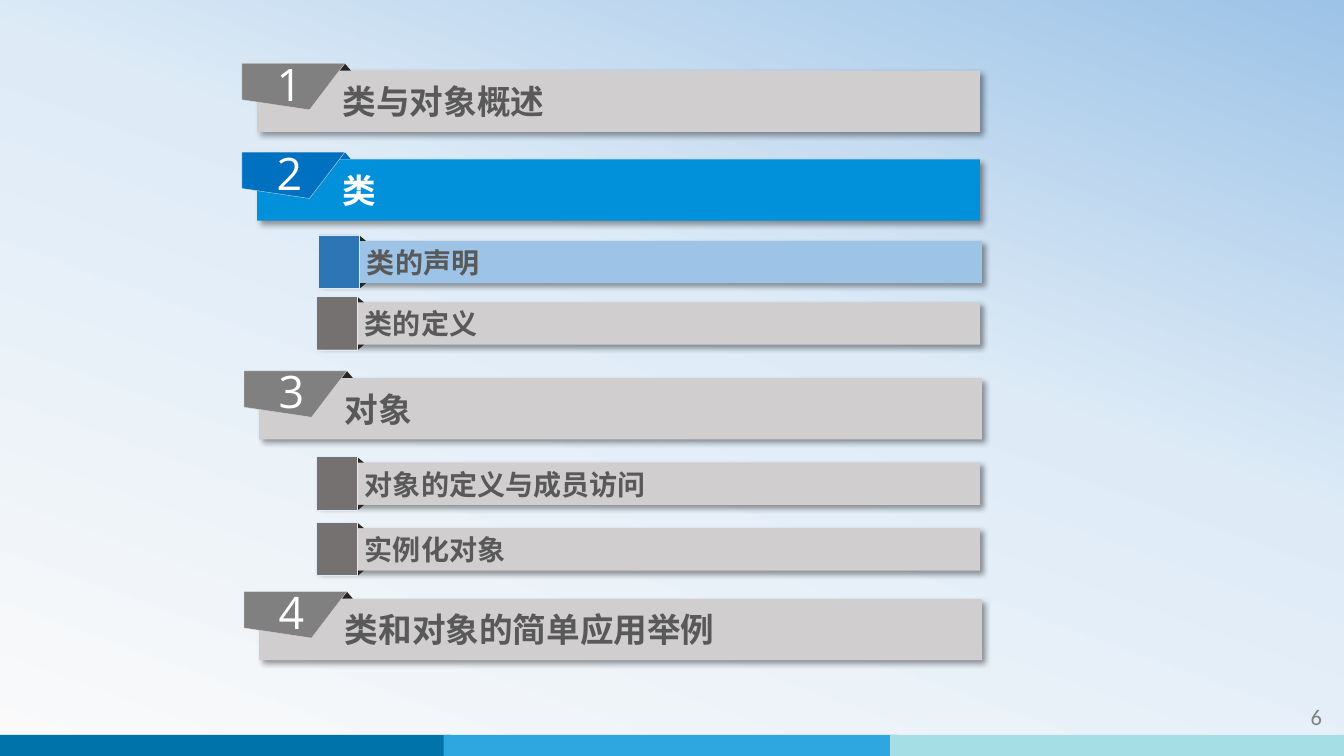
import pptx
import pptx.util
import pptx.dml.color
import pptx.enum.shapes
import pptx.enum.text
import pptx.oxml
import pptx.oxml.ns

Inches, Pt = pptx.util.Inches, pptx.util.Pt
RGBColor = pptx.dml.color.RGBColor
MSO_SHAPE = pptx.enum.shapes.MSO_SHAPE
PP_ALIGN = pptx.enum.text.PP_ALIGN
MSO_ANCHOR = pptx.enum.text.MSO_ANCHOR
qn = pptx.oxml.ns.qn

WHITE = RGBColor(0xFF, 0xFF, 0xFF)
BLACK = RGBColor(0x26, 0x26, 0x26)
TEXT_GRAY = RGBColor(0x59, 0x59, 0x59)
TAB_GRAY = RGBColor(0x80, 0x80, 0x80)
BLOCK_GRAY = RGBColor(0x76, 0x71, 0x71)
BAR_GRAY = RGBColor(0xD0, 0xCE, 0xCE)
LINE_GRAY = RGBColor(0xD9, 0xD9, 0xD9)
BRIGHT_BLUE = RGBColor(0x00, 0x91, 0xDA)
TAB_BLUE = RGBColor(0x00, 0x70, 0xC0)
BLOCK_BLUE = RGBColor(0x2E, 0x75, 0xB6)
SKY_BLUE = RGBColor(0x9D, 0xC3, 0xE6)
PALE_BLUE = RGBColor(0xDE, 0xEB, 0xF7)
NEAR_WHITE = RGBColor(0xFA, 0xFA, 0xFA)

BACKGROUND = [(0, NEAR_WHITE), (0.58, PALE_BLUE), (1, SKY_BLUE)]
STRIPES = [(-0.03, RGBColor(0x00, 0x73, 0xAB)),
           (4.4, RGBColor(0x2E, 0xA7, 0xE0)),
           (8.83, RGBColor(0xA5, 0xDE, 0xE4))]
PAGE = "6"
# number, heading, left, top, current
SECTIONS = [("1", "类与对象概述", 2.4, 0.63, False),
            ("2", "类", 2.4, 1.51, True),
            ("3", "对象", 2.42, 3.68, False),
            ("4", "类和对象的简单应用举例", 2.42, 5.87, False)]
# heading, left, top, current
TOPICS = [("类的声明", 3.16, 2.33, True),
          ("类的定义", 3.14, 2.94, False),
          ("对象的定义与成员访问", 3.14, 4.53, False),
          ("实例化对象", 3.14, 5.18, False)]
CJK_FONT = "Noto Sans CJK SC"


def paint(sp, fill, line=None):
    sp.shadow.inherit = False
    sp.fill.solid()
    sp.fill.fore_color.rgb = fill
    if line is None:
        sp.line.fill.background()
    else:
        sp.line.color.rgb = line
        sp.line.width = Pt(0.25)


def add_block(shapes, kind, left, top, width, height, fill, line=None):
    sp = shapes.add_shape(kind, Inches(left), Inches(top), Inches(width), Inches(height))
    paint(sp, fill, line)
    return sp


def write(sp, text, size, font, color, align, bold=False):
    tf = sp.text_frame
    tf.word_wrap = True
    tf.vertical_anchor = MSO_ANCHOR.MIDDLE
    p = tf.paragraphs[0]
    p.text = text
    p.alignment = align
    r = p.runs[0]
    r.font.size = Pt(size)
    r.font.bold = bold
    r.font.name = font
    r.font.color.rgb = color
    latin = r.font._element.find(qn("a:latin"))
    ea = latin.makeelement(qn("a:ea"), {"typeface": font})
    latin.addnext(ea)
    return tf


def add_bar(shapes, left, top, width, height, fill, text, size, color, indent):
    """Draw a heading bar with a soft shadow to the lower right."""
    sp = add_block(shapes, MSO_SHAPE.RECTANGLE, left, top, width, height, fill)
    sp._element.spPr.find(qn("a:effectLst")).append(pptx.oxml.parse_xml(
        '<a:outerShdw xmlns:a="http://schemas.openxmlformats.org/drawingml/2006/main"'
        ' blurRad="50800" dist="38100" dir="2700000" algn="tl" rotWithShape="0">'
        '<a:srgbClr val="000000"><a:alpha val="40000"/></a:srgbClr></a:outerShdw>'))
    tf = write(sp, text, size, CJK_FONT, color, PP_ALIGN.LEFT, bold=True)
    tf.margin_left = Inches(indent)


def add_section(slide, number, heading, left, top, current):
    shapes = slide.shapes.add_group_shape().shapes
    add_bar(shapes, left + 0.15, top + 0.07, 7.17, 0.61,
            BRIGHT_BLUE if current else BAR_GRAY,
            heading, 24, WHITE if current else TEXT_GRAY, 0.85)
    add_block(shapes, MSO_SHAPE.ISOSCELES_TRIANGLE, left + 0.96, top, 0.12, 0.07,
              TAB_BLUE if current else BLACK)
    outline = [(Inches(left + dx), Inches(top + dy))
               for dx, dy in [(0, 0), (1.02, 0), (0.67, 0.46), (0, 0.36)]]
    builder = shapes.build_freeform(*outline[0])
    builder.add_line_segments(outline[1:], close=True)
    tab = builder.convert_to_shape()
    paint(tab, TAB_BLUE if current else TAB_GRAY, LINE_GRAY)
    tf = write(tab, number, 32, "Open Sans", WHITE, PP_ALIGN.CENTER)
    tf.margin_left, tf.margin_top = Inches(0.09), Inches(0.04)
    tf.margin_right, tf.margin_bottom = Inches(0.17), Inches(0.1)


def add_topic(slide, heading, left, top, current):
    shapes = slide.shapes.add_group_shape().shapes
    add_bar(shapes, left + 0.01, top + 0.06, 6.57, 0.42,
            SKY_BLUE if current else BAR_GRAY, heading, 20, TEXT_GRAY, 0.47)
    add_block(shapes, MSO_SHAPE.ISOSCELES_TRIANGLE, left + 0.35, top + 0.01, 0.12, 0.05, BLACK)
    lower = add_block(shapes, MSO_SHAPE.ISOSCELES_TRIANGLE,
                      left + 0.35, top + 0.48, 0.12, 0.05, BLACK)
    lower.rotation = 180
    add_block(shapes, MSO_SHAPE.RECTANGLE, left, top, 0.4, 0.53,
              BLOCK_BLUE if current else BLOCK_GRAY, PALE_BLUE)


def set_background(slide):
    fill = slide.background.fill
    fill.gradient()
    fill.gradient_angle = 70
    stops = slide.element.find(".//" + qn("a:gsLst"))
    for gs in list(stops):
        stops.remove(gs)
    for position, color in BACKGROUND:
        gs = stops.makeelement(qn("a:gs"), {"pos": str(round(position * 100000))})
        gs.append(gs.makeelement(qn("a:srgbClr"), {"val": str(color)}))
        stops.append(gs)


def main():
    prs = pptx.Presentation()
    prs.slide_width, prs.slide_height = Inches(13.33), Inches(7.5)
    slide = prs.slides.add_slide(prs.slide_layouts[6])
    set_background(slide)
    for left, color in STRIPES:
        add_block(slide.shapes, MSO_SHAPE.RECTANGLE, left, 7.29, 4.5, 0.21, color)
    page = slide.shapes.add_textbox(Inches(11.62), Inches(6.91), Inches(1.59), Inches(0.4))
    write(page, PAGE, 16, "Calibri", TAB_GRAY, PP_ALIGN.RIGHT)
    for section in SECTIONS:
        add_section(slide, *section)
    for topic in TOPICS:
        add_topic(slide, *topic)
    prs.save("out.pptx")


if __name__ == "__main__":
    main()
